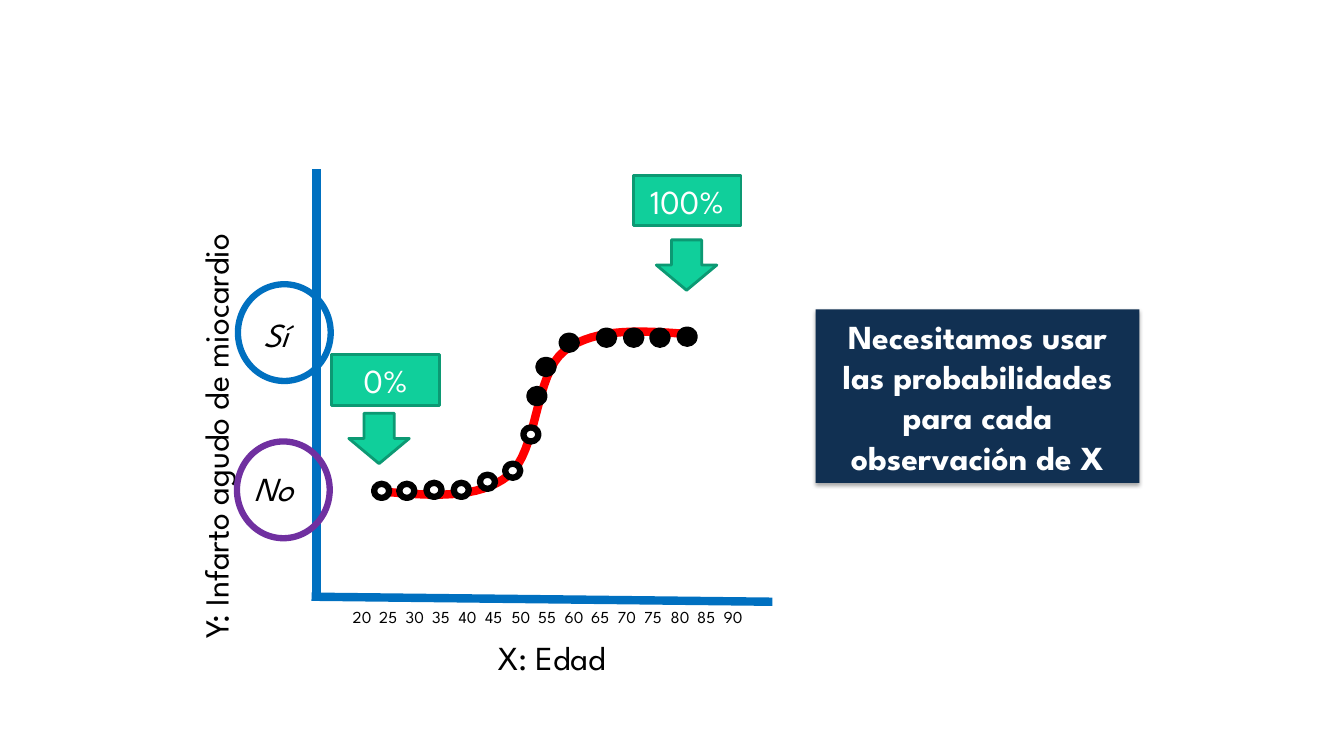
from lxml.etree import SubElement
from pptx import Presentation
from pptx.dml.color import RGBColor
from pptx.enum.shapes import MSO_CONNECTOR, MSO_SHAPE
from pptx.enum.text import MSO_ANCHOR, PP_ALIGN
from pptx.oxml.ns import qn
from pptx.util import Inches, Pt

FONT = "League Spartan"
BLACK, WHITE, RED = "000000", "FFFFFF", "FF0000"
BLUE, PURPLE, NAVY = "0070C0", "7030A0", "113052"
GREEN, DARK_GREEN = "10CF9B", "0C9973"

# Each curve segment: two control points and an end point
CURVE_START = (3.83, 4.88)
CURVE_SEGMENTS = [
    [(4.29, 4.92), (4.75, 4.95), (5.04, 4.72)],
    [(5.34, 4.48), (5.3, 3.71), (5.6, 3.48)],
    [(5.91, 3.24), (6.4, 3.28), (6.89, 3.32)],
]
STEPS = 16

NO_DOTS = [(3.71, 4.8), (3.96, 4.8), (4.23, 4.79), (4.5, 4.79),
           (4.76, 4.71), (5.01, 4.6), (5.19, 4.24)]
YES_DOTS = [(5.25, 3.86), (5.34, 3.57), (5.57, 3.33), (5.94, 3.28),
            (6.21, 3.28), (6.47, 3.28), (6.74, 3.27)]
AGES = range(20, 95, 5)
AGE_SPAN = 3.68


def color(value):
    return RGBColor.from_string(value)


def style(shape, fill=None, line=None, weight=0):
    shape.shadow.inherit = False
    if fill:
        shape.fill.solid()
        shape.fill.fore_color.rgb = color(fill)
    else:
        shape.fill.background()
    if line:
        shape.line.color.rgb = color(line)
        shape.line.width = Pt(weight)
    else:
        shape.line.fill.background()


def add_preset(page, kind, left, top, width, height, **look):
    shape = page.shapes.add_shape(kind, Inches(left), Inches(top),
                                  Inches(width), Inches(height))
    style(shape, **look)
    return shape


def write(shape, text, size=24, ink=BLACK, align=PP_ALIGN.LEFT,
          bold=False, italic=False, tabs=()):
    frame = shape.text_frame
    frame.word_wrap = True
    para = frame.paragraphs[0]
    para.text = text
    para.alignment = align
    if tabs:
        tab_list = SubElement(para._p.get_or_add_pPr(), qn("a:tabLst"))
        for position in tabs:
            SubElement(tab_list, qn("a:tab"), pos=str(Inches(position)), algn="l")
    para.font.name = FONT
    para.font.size = Pt(size)
    para.font.bold = bold
    para.font.italic = italic
    para.font.color.rgb = color(ink)


def add_label(page, text, left, top, width, height=0.5, **look):
    box = page.shapes.add_textbox(Inches(left), Inches(top),
                                  Inches(width), Inches(height))
    write(box, text, **look)
    return box


def add_axis(page, start, end):
    axis = page.shapes.add_connector(
        MSO_CONNECTOR.STRAIGHT, *[Inches(value) for value in start + end])
    axis.line.color.rgb = color(BLUE)
    axis.line.width = Pt(6)
    SubElement(axis._element.spPr, qn("a:effectLst"))


def curve_points():
    start = CURVE_START
    for first, second, end in CURVE_SEGMENTS:
        for step in range(1, STEPS + 1):
            t = step / STEPS
            u = 1 - t
            yield tuple(
                Inches(u**3 * a + 3 * u * u * t * b + 3 * u * t * t * c + t**3 * d)
                for a, b, c, d in zip(start, first, second, end))
        start = end


def add_curve(page):
    builder = page.shapes.build_freeform(*[Inches(value) for value in CURVE_START])
    builder.add_line_segments(list(curve_points()), close=False)
    style(builder.convert_to_shape(), line=RED, weight=6)


def add_dots(page, places, fill):
    for left, top in places:
        add_preset(page, MSO_SHAPE.OVAL, left, top, 0.15, 0.14,
                   fill=fill, line=BLACK, weight=4.5)


def add_outcome(page, text, left, top, ring, label_left, label_top):
    add_preset(page, MSO_SHAPE.OVAL, left, top, 0.92, 0.96, line=ring, weight=4.5)
    add_label(page, text, label_left, label_top, 0.84,
              align=PP_ALIGN.CENTER, italic=True)


def add_percentage(page, text, left, top, arrow_left, arrow_top):
    look = {"fill": GREEN, "line": DARK_GREEN, "weight": 2}
    add_preset(page, MSO_SHAPE.DOWN_ARROW, arrow_left, arrow_top, 0.6, 0.5, **look)
    tag = add_preset(page, MSO_SHAPE.RECTANGLE, left, top, 1.07, 0.5, **look)
    tag.text_frame.vertical_anchor = MSO_ANCHOR.MIDDLE
    write(tag, text, ink=WHITE, align=PP_ALIGN.CENTER)


def add_callout(page, text):
    callout = add_preset(page, MSO_SHAPE.RECTANGLE, 8.09, 3.07, 3.21, 1.72, fill=NAVY)
    callout.text_frame.vertical_anchor = MSO_ANCHOR.MIDDLE
    write(callout, text, ink=WHITE, align=PP_ALIGN.CENTER, bold=True)
    # Soft shadow straight below
    effects = callout._element.spPr.find(qn("a:effectLst"))
    shadow = SubElement(effects, qn("a:outerShdw"), blurRad=str(Pt(3.1)),
                        dist=str(Pt(1.8)), dir="5400000", rotWithShape="0")
    shade = SubElement(shadow, qn("a:srgbClr"), val=BLACK)
    SubElement(shade, qn("a:alpha"), val="35000")


def main():
    deck = Presentation()
    deck.slide_width, deck.slide_height = Inches(13.33), Inches(7.5)
    page = deck.slides.add_slide(deck.slide_layouts[6])

    # Curve and axes
    add_curve(page)
    add_axis(page, (3.14, 1.68), (3.14, 5.92))
    add_axis(page, (7.66, 5.97), (3.09, 5.92))

    # Axis titles and age scale
    add_label(page, "X: Edad", 4.84, 6.27, 1.47)
    y_title = add_label(page, "Y: Infarto agudo de miocardio", -0.44, 3.61, 5.15)
    y_title.rotation = 270
    age_gap = AGE_SPAN / (len(AGES) - 1)
    add_label(page, "\t".join(str(age) for age in AGES), 3.4, 5.97, 4.36, 0.3,
              size=12, tabs=[age_gap * i for i in range(1, len(AGES))])

    # Outcomes and observations
    add_outcome(page, "Sí", 2.36, 2.82, BLUE, 2.31, 3.07)
    add_outcome(page, "No", 2.35, 4.38, PURPLE, 2.29, 4.59)
    add_dots(page, NO_DOTS, WHITE)
    add_dots(page, YES_DOTS, BLACK)

    # Probabilities and message
    add_callout(page, "Necesitamos usar las probabilidades para cada observación de X")
    add_percentage(page, "0%", 3.29, 3.52, 3.46, 4.1)
    add_percentage(page, "100%", 6.28, 1.74, 6.51, 2.38)

    deck.save("out.pptx")


if __name__ == "__main__":
    main()
